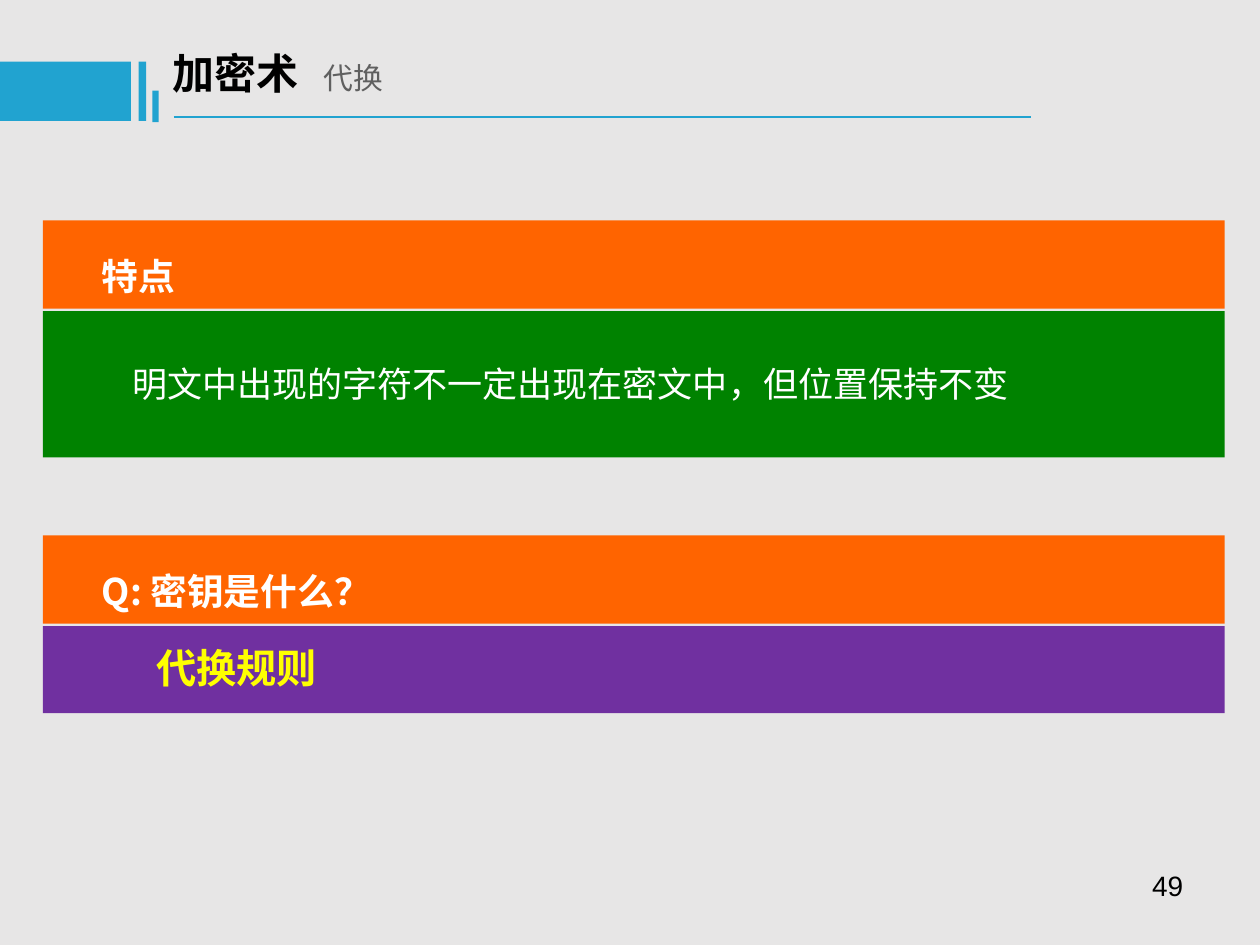
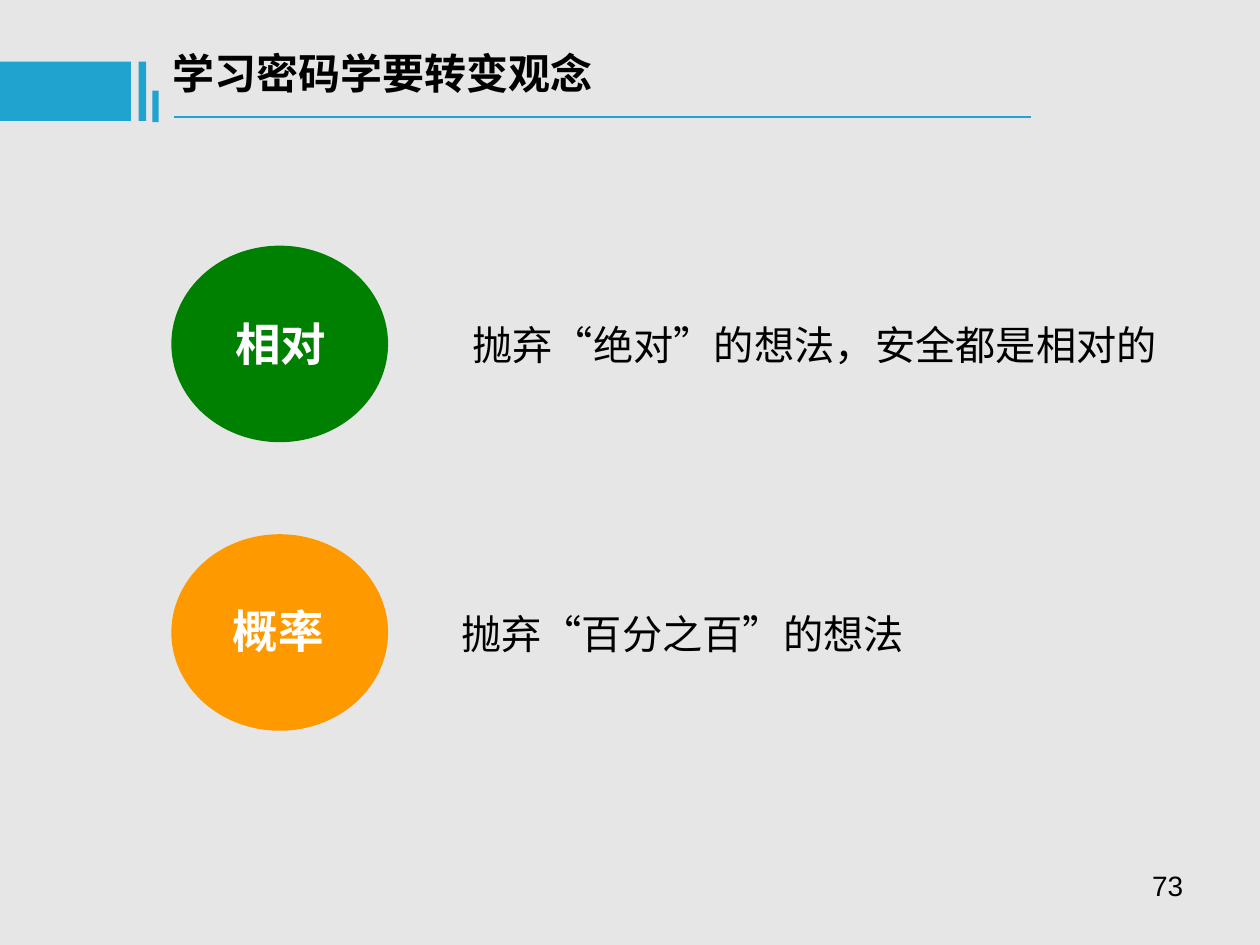
from lxml import etree
from pptx import Presentation
from pptx.dml.color import RGBColor
from pptx.enum import lang, shapes, text
from pptx.oxml.ns import qn
from pptx.util import Inches, Pt

# Shared style
BACKDROP = RGBColor(0xE7, 0xE6, 0xE6)
ACCENT = RGBColor(0x21, 0xA3, 0xD0)
BLACK = RGBColor(0, 0, 0)
GREY = RGBColor(0x60, 0x60, 0x60)
WHITE = RGBColor(0xFF, 0xFF, 0xFF)
YELLOW = RGBColor(0xFF, 0xFF, 0)
ORANGE = RGBColor(0xFF, 0x64, 0)
AMBER = RGBColor(0xFF, 0x99, 0)
LEAF = RGBColor(0, 0x82, 0)
GREEN = RGBColor(0, 0x80, 0)
PURPLE = RGBColor(0x70, 0x30, 0xA0)
CJK = "Noto Sans CJK SC"
LEFT, CENTER, RIGHT = (text.PP_ALIGN.LEFT, text.PP_ALIGN.CENTER,
                       text.PP_ALIGN.RIGHT)
RECT, OVAL = shapes.MSO_SHAPE.RECTANGLE, shapes.MSO_SHAPE.OVAL

# Header: bars beside the title, subtitle tab position
HEADER_BARS = [(0, 0.49, 1.04, 0.47), (1.1, 0.49, 0.06, 0.47),
               (1.21, 0.72, 0.05, 0.25)]
SUBTITLE_TAB = 1.2

# Slide 1 content: heading band over answer band
BAND_LEFT, BAND_WIDTH = 0.34, 9.38
HEADING_HEIGHT, BAND_STEP = 0.7, 0.72
PANELS = [
    {"top": 1.75, "heading": "特点", "fill": LEAF, "height": 1.16,
     "answer": "明文中出现的字符不一定出现在密文中，但位置保持不变",
     "box": (0.52, 2.66, 8.95, 0.6),
     "style": dict(size=20, color=WHITE, indent=0.43, spacing=1.5)},
    {"top": 4.25, "heading": "Q: 密钥是什么？", "fill": PURPLE, "height": 0.69,
     "answer": "代换规则",
     "box": (0.58, 5.06, 8.95, 0.49),
     "style": dict(size=23, color=YELLOW, bold=True, indent=0.56)},
]

# Slide 2 content: label, fill, circle top, label corner, idea, idea box
IDEAS = [
    ("相对", GREEN, 1.95, (1.77, 2.46),
     "抛弃“绝对”的想法，安全都是相对的", (3.65, 2.49, 5.64, 0.49)),
    ("概率", AMBER, 4.24, (1.75, 4.74),
     "抛弃“百分之百”的想法", (3.56, 4.79, 3.72, 0.49)),
]


def inches(box):
    return [Inches(length) for length in box]


def add_block(slide, kind, box, fill):
    block = slide.shapes.add_shape(kind, *inches(box))
    block.shadow.inherit = False
    block.fill.solid()
    block.fill.fore_color.rgb = fill
    block.line.fill.background()


def style_paragraph(paragraph, size, color=BLACK, bold=False, font=CJK,
                    align=LEFT, indent=0, spacing=1.0):
    paragraph.alignment = align
    paragraph.line_spacing = spacing
    properties = paragraph._p.get_or_add_pPr()
    if indent:
        properties.set("marL", str(Inches(indent)))
        properties.set("indent", "0")
    paragraph.font.size = Pt(size)
    paragraph.font.bold = bold
    paragraph.font.color.rgb = color
    paragraph.font.name = font
    paragraph.font.language_id = lang.MSO_LANGUAGE_ID.SIMPLIFIED_CHINESE
    east_asian = etree.SubElement(properties.find(qn("a:defRPr")), qn("a:ea"))
    east_asian.set("typeface", CJK)


def set_frame(frame, wrap=True, margins=(0.1, 0.05)):
    frame.word_wrap = wrap
    frame.auto_size = text.MSO_AUTO_SIZE.NONE
    frame.vertical_anchor = text.MSO_ANCHOR.TOP
    frame.margin_left = frame.margin_right = Inches(margins[0])
    frame.margin_top = frame.margin_bottom = Inches(margins[1])


def add_label(slide, words, box, wrap=True, margins=(0.1, 0.05), **style):
    frame = slide.shapes.add_textbox(*inches(box)).text_frame
    set_frame(frame, wrap, margins)
    frame.text = words
    style_paragraph(frame.paragraphs[0], **style)


def add_slide(prs, heading, number, subtitle=None):
    slide = prs.slides.add_slide(prs.slide_layouts[5])

    # Title with optional subtitle
    title = slide.shapes.title
    title.left, title.top, title.width, title.height = inches(
        (1.27, 0.33, 6.84, 0.5))
    set_frame(title.text_frame)
    paragraph = title.text_frame.paragraphs[0]
    paragraph.add_run().text = heading
    if subtitle:
        tabs = etree.SubElement(paragraph._p.get_or_add_pPr(), qn("a:tabLst"))
        etree.SubElement(tabs, qn("a:tab"), pos=str(Inches(SUBTITLE_TAB)),
                         algn="l")
        aside = paragraph.add_run()
        aside.text = "\t" + subtitle
        aside.font.size = Pt(17)
        aside.font.bold = False
        aside.font.color.rgb = GREY
    style_paragraph(paragraph, 24, bold=True)

    # Header bars and rule
    for bar in HEADER_BARS:
        add_block(slide, RECT, bar, ACCENT)
    rule = slide.shapes.add_connector(
        shapes.MSO_CONNECTOR.STRAIGHT, *inches((1.38, 0.93, 8.18, 0.93)))
    rule.line.color.rgb = ACCENT
    rule.line.width = Pt(1.5)
    etree.SubElement(rule._element.spPr, qn("a:effectLst"))

    # Page number
    add_label(slide, str(number), (7.17, 6.83, 2.33, 0.52),
              margins=(0.11, 0.06), size=16, font="Arial", align=RIGHT)
    return slide


def build_substitution(prs):
    slide = add_slide(prs, "加密术", 49, "代换")
    for panel in PANELS:
        top = panel["top"]
        add_block(slide, RECT, (BAND_LEFT, top + BAND_STEP, BAND_WIDTH,
                                panel["height"]), panel["fill"])
        add_label(slide, panel["answer"], panel["box"], **panel["style"])
        add_block(slide, RECT, (BAND_LEFT, top, BAND_WIDTH, HEADING_HEIGHT),
                  ORANGE)
        add_label(slide, panel["heading"], (0.71, top + 0.04, 8.63, 0.63),
                  size=21, color=WHITE, bold=True, spacing=1.5)


def build_mindset(prs):
    slide = add_slide(prs, "学习密码学要转变观念", 73)
    for label, fill, top, corner, idea, idea_box in IDEAS:
        add_block(slide, OVAL, (1.36, top, 1.72, 1.56), fill)
        add_label(slide, label, (*corner, 0.92, 0.54), wrap=False, size=26,
                  color=WHITE, bold=True, align=CENTER)
        add_label(slide, idea, idea_box, wrap=False, size=23, font="Calibri",
                  align=CENTER)


def main():
    prs = Presentation()
    prs.slide_width, prs.slide_height = Inches(10), Inches(7.5)
    backdrop = prs.slide_master.background.fill
    backdrop.solid()
    backdrop.fore_color.rgb = BACKDROP
    build_substitution(prs)
    build_mindset(prs)
    prs.save("out.pptx")


if __name__ == "__main__":
    main()
